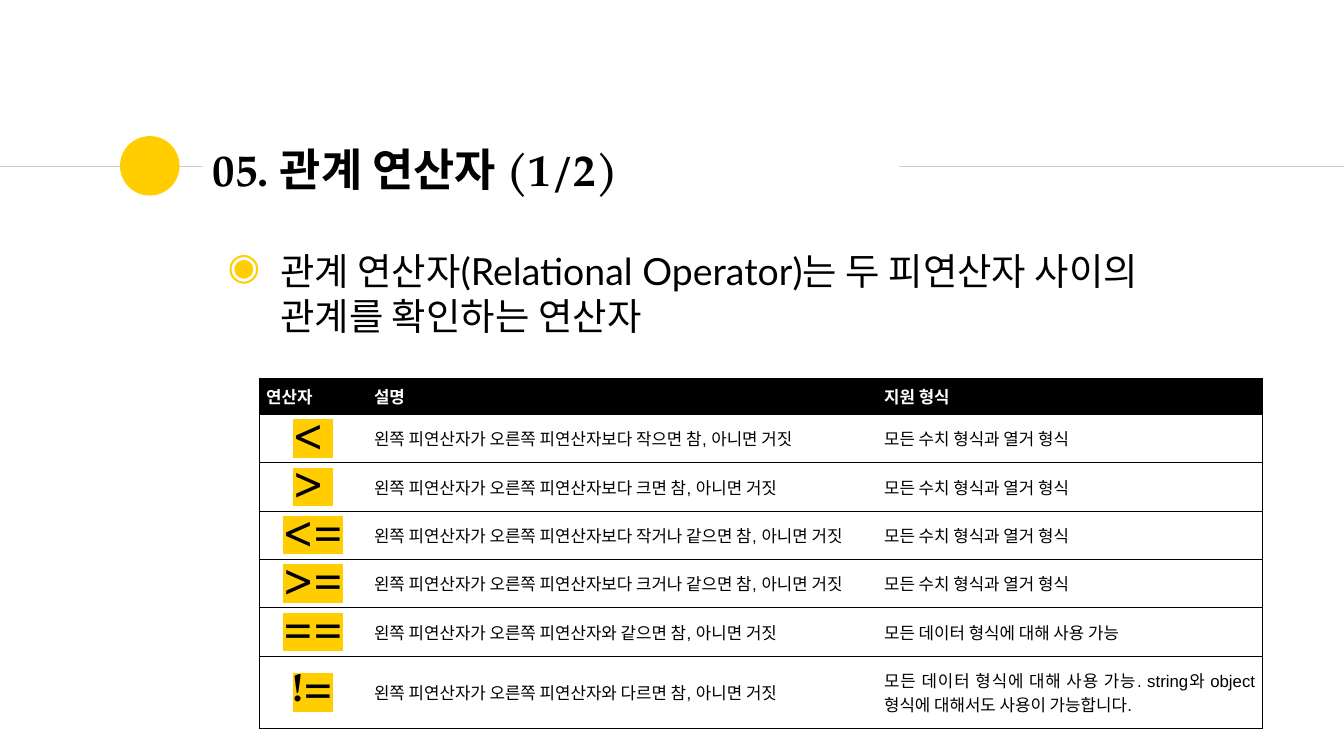
from dataclasses import dataclass

from lxml import etree
from pptx import Presentation
from pptx.dml.color import RGBColor
from pptx.enum.shapes import MSO_CONNECTOR, MSO_SHAPE
from pptx.enum.text import MSO_ANCHOR, PP_ALIGN
from pptx.oxml.ns import qn
from pptx.util import Inches, Pt

STRAIGHT = MSO_CONNECTOR.STRAIGHT
OVAL, RECT = MSO_SHAPE.OVAL, MSO_SHAPE.RECTANGLE
TOP, MIDDLE = MSO_ANCHOR.TOP, MSO_ANCHOR.MIDDLE
LEFT, CENTER, JUSTIFY = PP_ALIGN.LEFT, PP_ALIGN.CENTER, PP_ALIGN.JUSTIFY

WIDTH, HEIGHT = Inches(13.33), Inches(7.5)
BLACK, WHITE, YELLOW, GREY = "000000", "FFFFFF", "FFCD00", "CCCCCC"
SERIF, SANS, BODY = "TeX Gyre Pagella", "Arial", "Lato"
RULE_Y = 22
COLUMNS = (8.03, 37.95, 28.65)
ROWS = (4.8, 6.4, 6.4, 6.4, 6.4, 6.4, 9.6)


@dataclass(frozen=True)
class Box:
    left: float
    top: float
    width: float
    height: float

    def place(self) -> tuple[int, int, int, int]:
        return x(self.left), y(self.top), x(self.width), y(self.height)


@dataclass(frozen=True)
class Style:
    font: str
    size: float
    color: str = BLACK
    bold: bool = False
    align: PP_ALIGN = LEFT


@dataclass(frozen=True)
class Operator:
    symbol: str
    condition: str
    types: str


HEADER = Style(SANS, 12, WHITE, True, JUSTIFY)
SYMBOL = Style(SERIF, 28, BLACK, True, CENTER)
DETAIL = Style(SANS, 12, BLACK, False, JUSTIFY)
NUMERIC = "모든 수치 형식과 열거 형식"
ANY = "모든 데이터 형식에 대해 사용 가능"
OPERATORS = (
    Operator("< ", "보다 작으면", NUMERIC),
    Operator("> ", "보다 크면", NUMERIC),
    Operator("<=", "보다 작거나 같으면", NUMERIC),
    Operator(">=", "보다 크거나 같으면", NUMERIC),
    Operator("==", "와 같으면", ANY),
    Operator("!=", "와 다르면", f"{ANY}. string와 object 형식에 대해서도 사용이 가능합니다."),
)


def x(percent: float) -> int:
    return round(WIDTH * percent / 100)


def y(percent: float) -> int:
    return round(HEIGHT * percent / 100)


def rgb(color: str) -> RGBColor:
    return RGBColor.from_string(color)


def add_color(parent, tag: str, color: str) -> None:
    etree.SubElement(etree.SubElement(parent, qn(tag)), qn("a:srgbClr"), val=color)


def write(tf, text: str, style: Style):
    p = tf.paragraphs[0]
    p.alignment = style.align
    p.font.name, p.font.size, p.font.bold = style.font, Pt(style.size), style.bold
    p.font.color.rgb = rgb(style.color)
    r = p.add_run()
    r.text = text
    return p


def add_rule(s, start: float, end: float) -> None:
    line = s.shapes.add_connector(STRAIGHT, x(start), y(RULE_Y), x(end), y(RULE_Y))
    line.line.color.rgb = rgb(GREY)
    line.line.width = Pt(0.75)
    etree.SubElement(line._element.spPr, qn("a:effectLst"))


def add_shape(s, kind: MSO_SHAPE, box: Box, color: str):
    sp = s.shapes.add_shape(kind, *box.place())
    sp.shadow.inherit = False
    sp.fill.solid()
    sp.fill.fore_color.rgb = rgb(color)
    sp.line.fill.background()
    return sp


def set_frame(tf, anchor: MSO_ANCHOR) -> None:
    tf.word_wrap = True
    tf.vertical_anchor = anchor
    tf.margin_left = tf.margin_right = tf.margin_top = tf.margin_bottom = Inches(0.1)


def add_title(s, text: str) -> None:
    sp = add_shape(s, RECT, Box(15.08, 18, 51.83, 8.53), WHITE)
    set_frame(sp.text_frame, MIDDLE)
    write(sp.text_frame, text, Style(SERIF, 32, bold=True))


def add_body(s, text: str) -> None:
    tf = s.shapes.add_textbox(*Box(15.08, 31.47, 76.28, 62.8).place()).text_frame
    set_frame(tf, TOP)
    p = write(tf, text, Style(BODY, 26.7))
    p.space_before = Pt(8)
    pPr = p._p.get_or_add_pPr()
    pPr.set("marL", str(Inches(0.67)))
    pPr.set("indent", str(Inches(-0.52)))
    bullet = etree.Element(qn("a:buClr"))
    etree.SubElement(bullet, qn("a:srgbClr"), val=YELLOW)
    char = etree.Element(qn("a:buChar"), char="◉")
    defaults = pPr.find(qn("a:defRPr"))
    defaults.addprevious(bullet)
    defaults.addprevious(char)


def set_borders(cell, sides: tuple[str, ...]) -> None:
    tcPr = cell._tc.get_or_add_tcPr()
    for i, side in enumerate(("L", "R", "T", "B")):
        border = etree.Element(qn(f"a:ln{side}"), w=str(Pt(0.75)))
        if side in sides:
            add_color(border, "a:solidFill", BLACK)
        else:
            etree.SubElement(border, qn("a:noFill"))
        tcPr.insert(i, border)


def fill_cell(cell, text: str, style: Style, fill: str, sides: tuple[str, ...]) -> None:
    cell.vertical_anchor = MIDDLE
    cell.margin_left = cell.margin_right = Inches(0.07)
    cell.margin_top = cell.margin_bottom = 0
    cell.fill.solid()
    cell.fill.fore_color.rgb = rgb(fill)
    set_borders(cell, sides)
    p = write(cell.text_frame, text, style)
    if style == SYMBOL:
        add_color(p.runs[0]._r.get_or_add_rPr(), "a:highlight", YELLOW)


def add_operator_table(s) -> None:
    box = Box(19.28, 50, sum(COLUMNS), sum(ROWS))
    table = s.shapes.add_table(len(ROWS), len(COLUMNS), *box.place()).table
    for column, width in zip(table.columns, COLUMNS):
        column.width = x(width)
    for row, height in zip(table.rows, ROWS):
        row.height = y(height)
    lines = [("연산자", "설명", "지원 형식")]
    for op in OPERATORS:
        meaning = f"왼쪽 피연산자가 오른쪽 피연산자{op.condition} 참, 아니면 거짓"
        lines.append((op.symbol, meaning, op.types))
    edges = (("L", "T", "B"), ("T", "B"), ("R", "T", "B"))
    for i, line in enumerate(lines):
        styles = (SYMBOL, DETAIL, DETAIL) if i else (HEADER,) * 3
        fill = WHITE if i else BLACK
        for j, (text, style, sides) in enumerate(zip(line, styles, edges)):
            fill_cell(table.cell(i, j), text, style, fill, sides)


def main() -> None:
    prs = Presentation()
    prs.slide_width, prs.slide_height = WIDTH, HEIGHT
    s = prs.slides.add_slide(prs.slide_layouts[6])
    for end in (15.08, 100):
        add_rule(s, 0, end)
    add_shape(s, OVAL, Box(8.93, 18, 4.43, 7.87), YELLOW)
    add_body(s, "관계 연산자(Relational Operator)는 두 피연산자 사이의 관계를 확인하는 연산자")
    add_title(s, "05. 관계 연산자 (1/2)")
    add_operator_table(s)
    prs.save("out.pptx")


if __name__ == "__main__":
    main()
